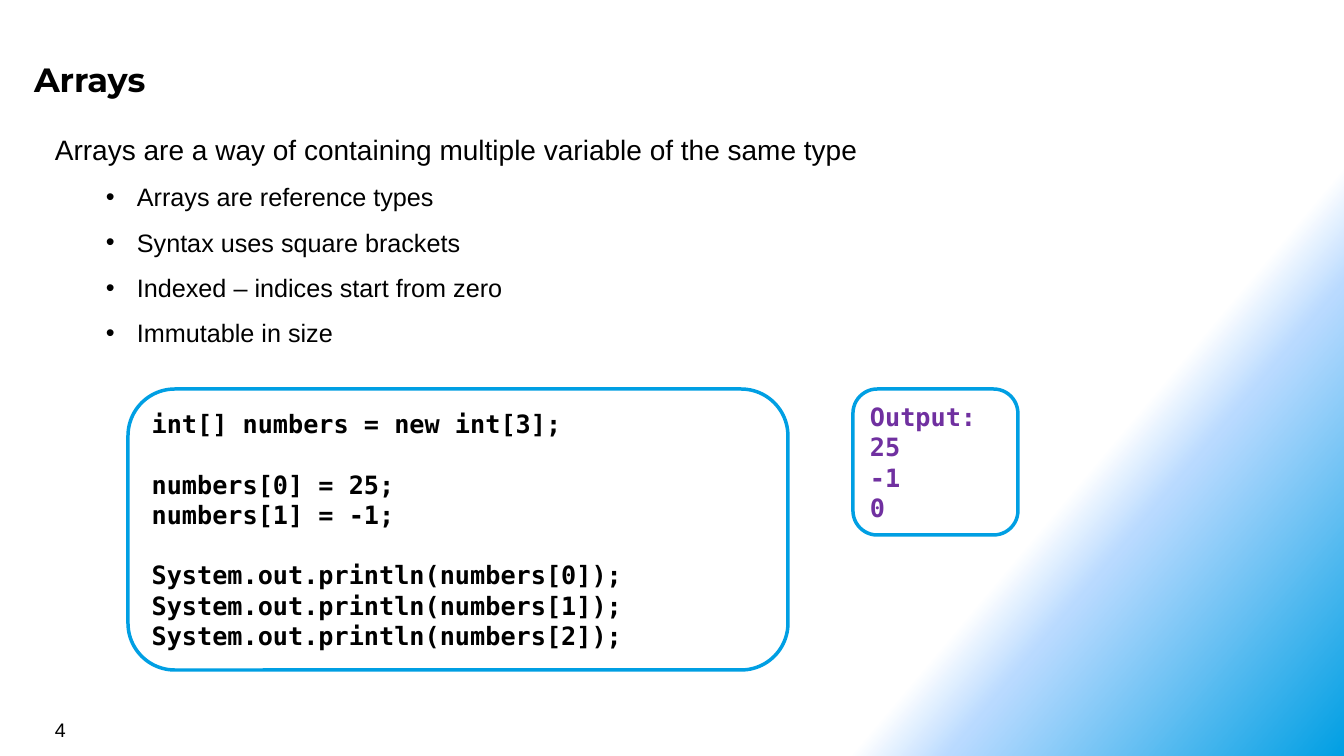
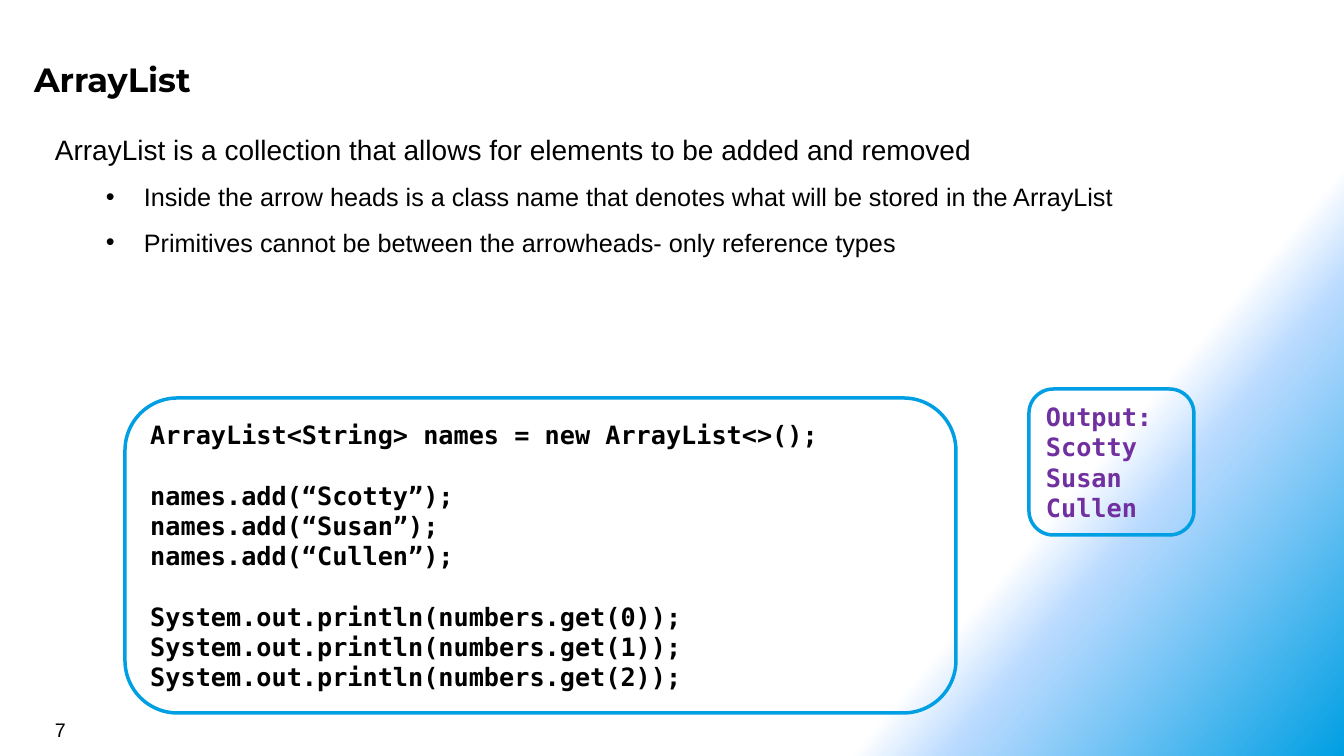
import pptx
import pptx.dml.color
import pptx.enum.shapes
import pptx.enum.text
import pptx.oxml.ns
import pptx.util
import lxml.etree

# Content: code is a list of groups, set apart by one line of space
SLIDES = [
    {
        "title": "Arrays",
        "number": "4",
        "lead": "Arrays are a way of containing multiple variable of the same type",
        "bullets": [
            "Arrays are reference types",
            "Syntax uses square brackets",
            "Indexed – indices start from zero",
            "Immutable in size",
        ],
        "body_box": (45, 128, 1038, 261),
        "bullet_indent": (82, 31),
        "code": [
            ["int[] numbers = new int[3];"],
            ["numbers[0] = 25;", "numbers[1] = -1;"],
            [f"System.out.println(numbers[{index}]);" for index in range(3)],
        ],
        "code_box": (128, 389, 660, 281),
        "output": ["Output:", "25", "-1", "0"],
        "output_left": 853,
    },
    {
        "title": "ArrayList",
        "number": "7",
        "lead": "ArrayList is a collection that allows for elements to be added and removed",
        "bullets": [
            "Inside the arrow heads is a class name that denotes what will be stored in the ArrayList",
            "Primitives cannot be between the arrowheads- only reference types",
        ],
        "body_box": (45, 128, 1108, 221),
        "bullet_indent": (89, 38),
        "code": [
            ["ArrayList<String> names = new ArrayList<>();"],
            [f"names.add(“{name}”);" for name in ("Scotty", "Susan", "Cullen")],
            [f"System.out.println(numbers.get({index}));" for index in range(3)],
        ],
        "code_box": (125, 398, 831, 315),
        "output": ["Output:", "Scotty", "Susan", "Cullen"],
        "output_left": 1029,
    },
]

# Shared style
COLORS = {"text": "000000", "output": "7030A0", "border": "009FE3"}
GRADIENT = [(75, "FFFFFF"), (80, "B9DAFF"), (100, "009FE3")]
GRADIENT_ANGLE = 40
BODY_FONT, TITLE_FONT, CODE_FONT = "Arial", "Montserrat", "DejaVu Sans Mono"
CODE_LINE = 21.6  # points
TITLE_BOX = (26, 51, 1236, 56)
NUMBER_BOX = (45, 713, 313, 33)
OUTPUT_TOP, OUTPUT_WIDTH, OUTPUT_HEIGHT = 389, 165, 146
MIDDLE = pptx.enum.text.MSO_ANCHOR.MIDDLE
TOP = pptx.enum.text.MSO_ANCHOR.TOP
qn = pptx.oxml.ns.qn


def px(pixels):
    return pptx.util.Emu(round(pixels * 914400 / 100.8))


def rgb(name):
    return pptx.dml.color.RGBColor.from_string(COLORS[name])


def set_background(master):
    master.background.fill.gradient()
    gradient = next(master.element.iter(qn("a:gradFill")))
    stops = gradient.find(qn("a:gsLst"))
    for stop in list(stops):
        stops.remove(stop)
    for position, color in GRADIENT:
        stop = lxml.etree.SubElement(stops, qn("a:gs"), pos=str(position * 1000))
        lxml.etree.SubElement(stop, qn("a:srgbClr"), val=color)
    direction = gradient.find(qn("a:lin"))
    direction.set("ang", str(GRADIENT_ANGLE * 60000))
    direction.set("scaled", "0")


def add_text(frame, text, size=18, font=BODY_FONT, color="text", bold=False,
             before=0, spacing=None, bullet_indent=None):
    """Fill the empty first paragraph of the frame, or append a new one."""
    paragraph = frame.paragraphs[-1]
    if paragraph.runs:
        paragraph = frame.add_paragraph()
    paragraph.alignment = pptx.enum.text.PP_ALIGN.LEFT
    paragraph.space_before = pptx.util.Pt(before)
    if spacing:
        paragraph.line_spacing = spacing
    if bullet_indent:
        margin, hanging = bullet_indent
        paragraph.level = 1
        properties = paragraph._p.get_or_add_pPr()
        properties.set("marL", str(px(margin)))
        properties.set("indent", str(-px(hanging)))
        lxml.etree.SubElement(properties, qn("a:buFont"), typeface=BODY_FONT)
        lxml.etree.SubElement(properties, qn("a:buChar"), char="•")
    run = paragraph.add_run()
    run.text = text
    run.font.size = pptx.util.Pt(size)
    run.font.name = font
    run.font.bold = bold
    run.font.color.rgb = rgb(color)


def add_frame(slide, box, anchor=TOP):
    frame = slide.shapes.add_textbox(*map(px, box)).text_frame
    frame.word_wrap = True
    frame.vertical_anchor = anchor
    return frame


def add_code_panel(slide, box, groups, color="text"):
    shape = slide.shapes.add_shape(
        pptx.enum.shapes.MSO_SHAPE.ROUNDED_RECTANGLE, *map(px, box))
    shape.shadow.inherit = False
    shape.fill.background()
    shape.line.color.rgb = rgb("border")
    shape.line.width = pptx.util.Pt(2.5)
    frame = shape.text_frame
    frame.word_wrap = True
    frame.vertical_anchor = MIDDLE
    for group_index, group in enumerate(groups):
        for line_index, line in enumerate(group):
            starts_group = group_index > 0 and line_index == 0
            add_text(frame, line, font=CODE_FONT, color=color, bold=True,
                     before=CODE_LINE if starts_group else 0)


def build_slide(presentation, content):
    slide = presentation.slides.add_slide(presentation.slide_layouts[6])

    # Page number
    add_text(add_frame(slide, NUMBER_BOX, MIDDLE), content["number"], size=14)

    # Lead sentence and bullets
    body = add_frame(slide, content["body_box"])
    add_text(body, content["lead"], size=20)
    for bullet in content["bullets"]:
        add_text(body, bullet, spacing=1.5, bullet_indent=content["bullet_indent"])

    # Title
    title = add_frame(slide, TITLE_BOX)
    title.margin_left = title.margin_right = px(8)
    title.margin_top = title.margin_bottom = px(8)
    add_text(title, content["title"], size=24, font=TITLE_FONT, bold=True)

    # Code and its output
    add_code_panel(slide, content["code_box"], content["code"])
    output_box = (content["output_left"], OUTPUT_TOP, OUTPUT_WIDTH, OUTPUT_HEIGHT)
    add_code_panel(slide, output_box, [content["output"]], color="output")


presentation = pptx.Presentation()
presentation.slide_width = px(1344)
presentation.slide_height = px(756)
set_background(presentation.slide_master)
for content in SLIDES:
    build_slide(presentation, content)
presentation.save("out.pptx")
